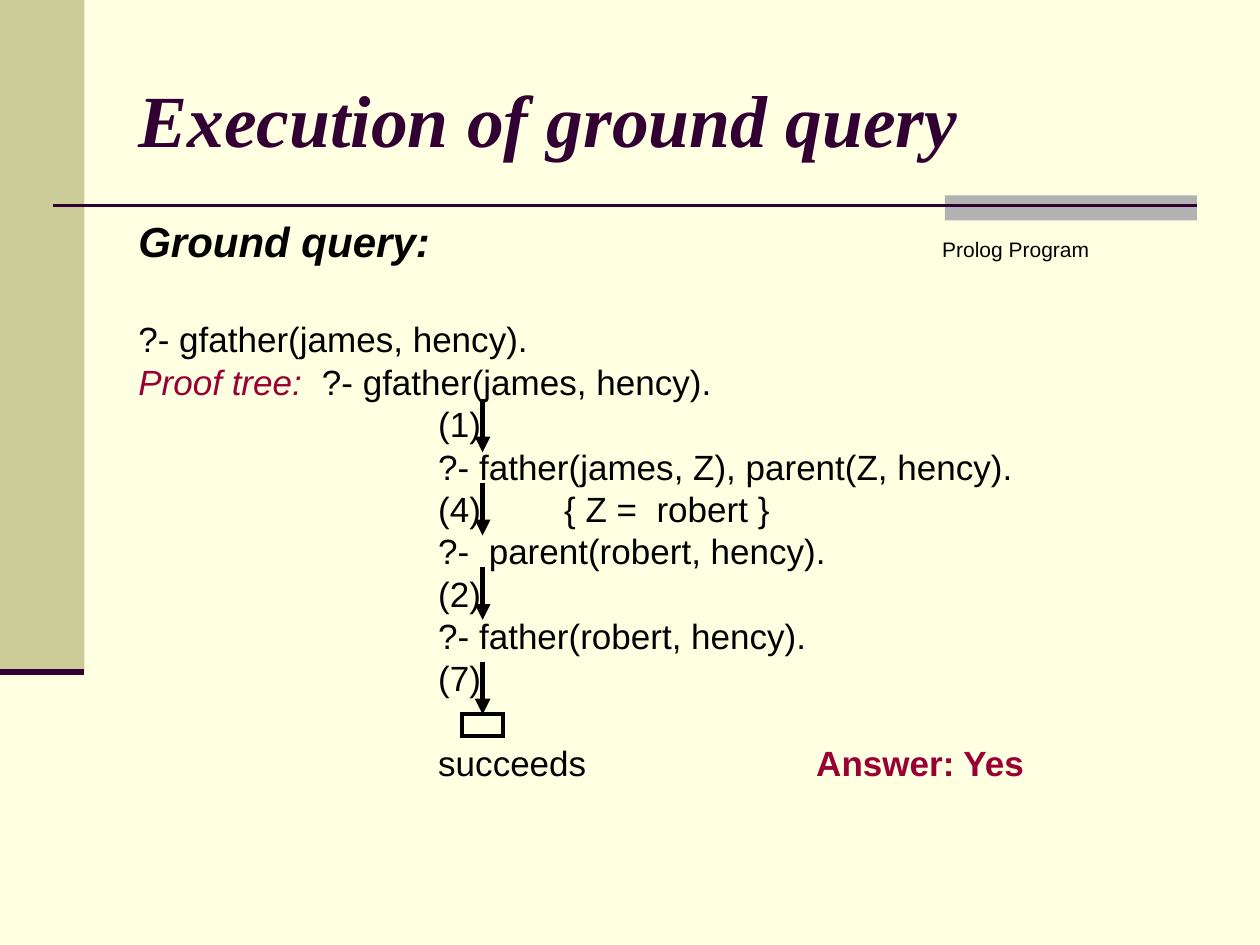
from lxml.etree import SubElement
from pptx import Presentation
from pptx.dml.color import RGBColor
from pptx.enum.shapes import MSO_CONNECTOR as Connector, MSO_SHAPE as Shape
from pptx.enum.text import MSO_ANCHOR as Anchor, PP_ALIGN as Align
from pptx.oxml.ns import qn
from pptx.util import Inches, Pt

CREAM = RGBColor(0xFF, 0xFF, 0xE1)
KHAKI = RGBColor(0xCC, 0xCC, 0x99)
GREY = RGBColor(0xB2, 0xB2, 0xB2)
PLUM = RGBColor(0x33, 0x00, 0x33)
CRIMSON = RGBColor(0x99, 0x00, 0x33)
BLACK = RGBColor(0x00, 0x00, 0x00)

PLAIN = dict(name="Arial", size=Pt(20), bold=False, italic=False)
HEADING = dict(PLAIN, size=Pt(24), bold=True, italic=True)
SMALL = dict(PLAIN, size=Pt(12))
LABEL = dict(PLAIN, italic=True)
ANSWER = dict(PLAIN, bold=True)
TITLE = dict(name="Times New Roman", size=Pt(42), bold=True, italic=True)

STEP = "\t\t\t"
GAP = 5
LINES = [
    (0, [("Ground query:\t\t\t\t\t", HEADING, BLACK), ("Prolog Program", SMALL, BLACK)]),
    (34.4, [("?- gfather(james, hency).", PLAIN, BLACK)]),
    (GAP, [("Proof tree:\t ", LABEL, CRIMSON), ("?- gfather(james, hency).", PLAIN, BLACK)]),
    *[(GAP, [(STEP + step, PLAIN, BLACK)]) for step in (
        "(1)",
        "?- father(james, Z), parent(Z, hency).",
        "(4)\t{ Z =  robert }",
        "?-  parent(robert, hency).",
        "(2)",
        "?- father(robert, hency).",
        "(7)",
    )],
    (29.2, [(STEP + "succeeds\t\t", PLAIN, BLACK), ("Answer: Yes", ANSWER, CRIMSON)]),
]

ARROW_X = 3.83
ARROW_LENGTH = 0.42
ARROW_TOPS = (3.17, 3.83, 4.5, 5.25)
BOX_WIDTH = 0.33


def set_values(target, values):
    """Set each named attribute of the target."""
    for name, value in values.items():
        setattr(target, name, value)


def add_span(para, text, style, colour):
    """Add a formatted run to a paragraph."""
    span = para.add_run()
    span.text = text
    set_values(span.font, style)
    span.font.color.rgb = colour


def add_title(page, text):
    """Place and format the title placeholder."""
    title = page.shapes.title
    set_values(title, dict(left=Inches(1), top=Inches(0.31),
                           width=Inches(8.5), height=Inches(1.25)))
    title.text_frame.vertical_anchor = Anchor.MIDDLE
    para = title.text_frame.paragraphs[0]
    para.alignment = Align.LEFT
    add_span(para, text, TITLE, PLUM)


def add_rectangle(page, left, top, width, height, fill=None):
    """Add a rectangle, filled or with a black outline only."""
    box = page.shapes.add_shape(Shape.RECTANGLE, Inches(left), Inches(top),
                                Inches(width), Inches(height))
    box.shadow.inherit = False
    if fill is None:
        box.fill.background()
        box.line.color.rgb = BLACK
        box.line.width = Pt(2.25)
        SubElement(box.line._get_or_add_ln(), qn("a:miter"), lim="800000")
    else:
        box.fill.solid()
        box.fill.fore_color.rgb = fill
        box.line.fill.background()
    return box


def add_line(page, start, end, colour, weight):
    """Add a straight line without a shadow."""
    line = page.shapes.add_connector(Connector.STRAIGHT, *map(Inches, start + end))
    line.line.color.rgb = colour
    line.line.width = Pt(weight)
    SubElement(line._element.spPr, qn("a:effectLst"))
    return line


def add_arrow(page, top):
    """Add a downward proof step arrow."""
    arrow = add_line(page, (ARROW_X, top), (ARROW_X, top + ARROW_LENGTH), BLACK, 3)
    SubElement(arrow.line._get_or_add_ln(), qn("a:tailEnd"), type="triangle")
    return arrow


def set_indent(para):
    """Give a paragraph its hanging indent and one-inch tab spacing."""
    properties = para._p.get_or_add_pPr()
    for name, inches in dict(marL=0.38, indent=-0.38, defTabSz=1).items():
        properties.set(name, str(Inches(inches)))


def add_proof(page):
    """Add the query and its proof tree text."""
    box = page.shapes.add_textbox(Inches(1), Inches(1.75), Inches(8.5), Inches(4.95))
    frame = box.text_frame
    set_values(frame, dict(word_wrap=True, margin_top=Inches(0.04)))
    for index, (space, spans) in enumerate(LINES):
        para = frame.add_paragraph() if index else frame.paragraphs[0]
        set_indent(para)
        set_values(para, dict(line_spacing=0.8, space_before=Pt(space)))
        for text, style, colour in spans:
            add_span(para, text, style, colour)


def add_decoration(page):
    """Add the side band, the accent bar and the rules."""
    add_rectangle(page, 0, 0, 0.67, 5.33, KHAKI)
    add_rectangle(page, 7.5, 1.55, 2, 0.2, GREY)
    add_line(page, (0.42, 1.63), (9.5, 1.63), PLUM, 1.5)
    add_line(page, (0, 5.33), (0.67, 5.33), PLUM, 3.5)


def main():
    """Build the slide and save it."""
    deck = Presentation()
    set_values(deck, dict(slide_width=Inches(10), slide_height=Inches(7.5)))
    page = deck.slides.add_slide(deck.slide_layouts[5])
    page.background.fill.solid()
    page.background.fill.fore_color.rgb = CREAM
    add_decoration(page)
    add_title(page, "Execution of ground query")
    add_proof(page)
    arrows = [add_arrow(page, top) for top in ARROW_TOPS]
    success = add_rectangle(page, ARROW_X - BOX_WIDTH / 2, 5.67, BOX_WIDTH, 0.17)
    arrows[-1].end_connect(success, 0)
    deck.save("out.pptx")


if __name__ == "__main__":
    main()
